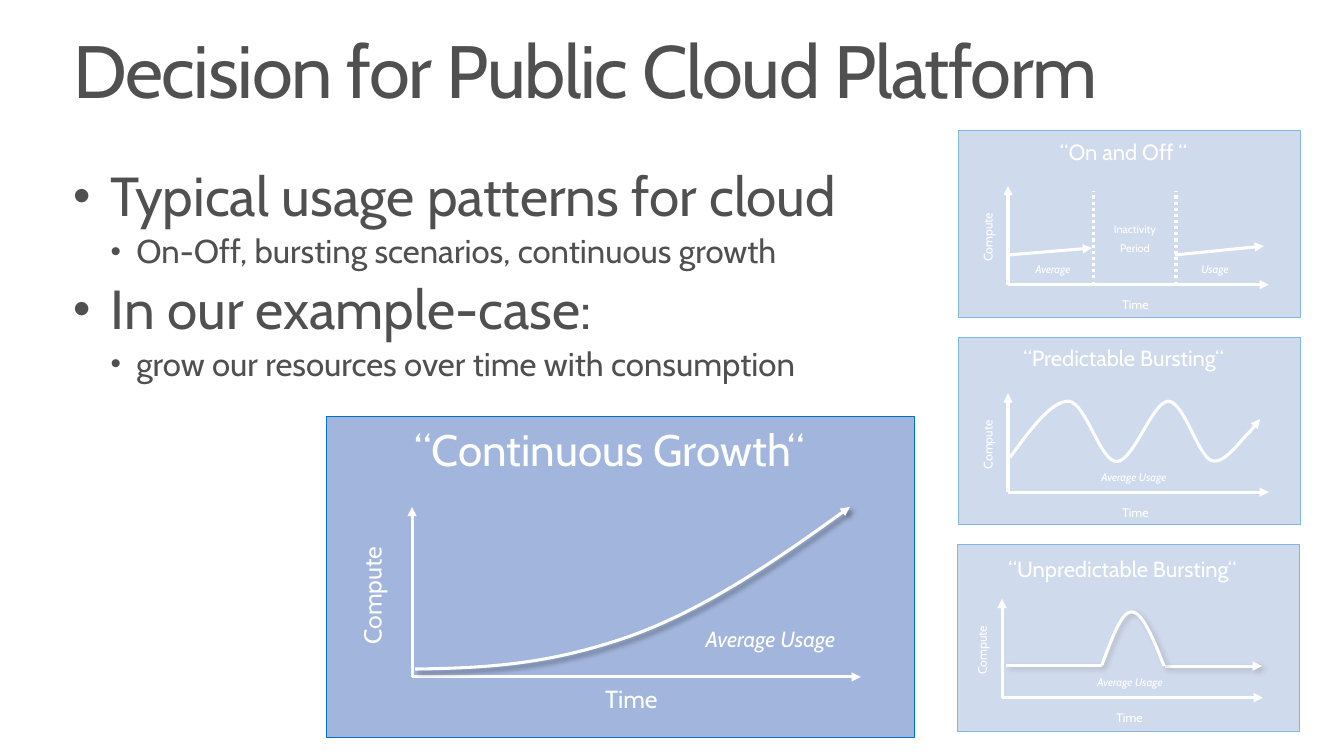
from dataclasses import dataclass

from lxml import etree
from pptx import Presentation
from pptx.dml.color import RGBColor
from pptx.enum.dml import MSO_LINE
from pptx.enum.shapes import MSO_CONNECTOR, MSO_SHAPE
from pptx.enum.text import PP_ALIGN
from pptx.oxml.ns import qn
from pptx.util import Inches, Pt

LEFT, CENTER = PP_ALIGN.LEFT, PP_ALIGN.CENTER
STRAIGHT, RECT, DOTS = MSO_CONNECTOR.STRAIGHT, MSO_SHAPE.RECTANGLE, MSO_LINE.ROUND_DOT


@dataclass(frozen=True)
class Theme:
    font: str = "Cabin"
    ink: RGBColor = RGBColor(0x50, 0x50, 0x50)
    white: RGBColor = RGBColor(0xFF, 0xFF, 0xFF)
    panel: RGBColor = RGBColor(0xA2, 0xB5, 0xDC)
    edge: RGBColor = RGBColor(0x00, 0x72, 0xC6)
    title: int = 54
    point: int = 40
    detail: int = 24
    head: int = 16
    axis: int = 9
    note: int = 8


theme = Theme()


def write(shapes, box, lines, size, color=theme.white, align=CENTER,
          inset=(0, 0), pitch=None, italic=False):
    """Add a text box with one paragraph per line; inset is (side, top)."""
    area = shapes.add_textbox(*map(Inches, box))
    frame = area.text_frame
    frame.word_wrap = True
    frame.margin_left = frame.margin_right = Inches(inset[0])
    frame.margin_top = frame.margin_bottom = Inches(inset[1])
    frame.text = "\n".join(lines)
    for para in frame.paragraphs:
        para.alignment = align
        para.line_spacing = pitch
        para.font.name = theme.font
        para.font.size = Pt(size)
        para.font.color.rgb = color
        para.font.italic = italic
    return area


def stroke(shape, arrow=False, dash=None, shade=False):
    """Style a white line, with an optional arrowhead, dash and shadow."""
    shape.line.color.rgb = theme.white
    shape.line.width = Pt(2.25)
    if dash:
        shape.line.dash_style = dash
    props = shape._element.spPr
    if arrow:
        etree.SubElement(props.find(qn("a:ln")), qn("a:tailEnd"), type="triangle")
    effects = etree.SubElement(props, qn("a:effectLst"))
    if shade:
        cast = etree.SubElement(effects, qn("a:outerShdw"), blurRad=str(Pt(4)),
                                dist=str(Pt(3)), dir="2700000", algn="tl")
        black = etree.SubElement(cast, qn("a:srgbClr"), val="000000")
        etree.SubElement(black, qn("a:alpha"), val="40000")


deck = Presentation()
deck.slide_width, deck.slide_height = Inches(13.6), Inches(7.65)
slide = deck.slides.add_slide(deck.slide_layouts[6])

title = write(slide.shapes, (0.58, 0.25, 12.44, 0.85),
              ["Decision for Public Cloud Platform"], theme.title, theme.ink,
              LEFT, (0.16, 0.1), 0.9)
title.text_frame.paragraphs[0].runs[0].font._element.set("spc", "-100")

points = [
    (0, "Typical usage patterns for cloud"),
    (1, "On-Off, bursting scenarios, continuous growth"),
    (0, "In our example-case:"),
    (1, "grow our resources over time with consumption"),
]
levels = [(theme.point, 0.38, 0.38), (theme.detail, 0.64, 0.26)]
body = write(slide.shapes, (0.58, 1.61, 12.44, 2.44), [words for _, words in points],
             theme.point, theme.ink, LEFT, (0.16, 0.1), 0.9)
for index, (para, (level, _)) in enumerate(zip(body.text_frame.paragraphs, points)):
    size, margin, hang = levels[level]
    para.level = level
    para.font.size = Pt(size)
    para.space_before = Pt(round(size * 0.2) if index else 0)
    props = para._p.get_or_add_pPr()
    props.set("marL", str(Inches(margin)))
    props.set("indent", str(-Inches(hang)))
    # Bullet marks belong before the default run properties
    mark = props.find(qn("a:defRPr"))
    for tag, key, value in [("a:buSzPct", "val", "90000"),
                            ("a:buFont", "typeface", "Arial"),
                            ("a:buChar", "char", "•")]:
        bullet = etree.Element(qn(tag), {key: value})
        if mark is None:
            props.append(bullet)
        else:
            mark.addprevious(bullet)

# Each line is (from x, from y, to x, to y, arrow, dash); a curve is a start
# followed by three Bézier points for each bend; a note is (x, y, words).
panels = [
    dict(name="“On and Off “", at=(9.7, 1.32), drop=0.06, corner=(10.2, 2.88), scale=1,
         notes=[(11.82, 2.66, "Usage"), (10.18, 2.66, "Average")],
         lines=[(10.2, 2.58, 11.05, 2.51, True, None),
                (11.89, 2.58, 12.79, 2.49, True, None),
                (11.9, 2.88, 11.9, 1.93, False, DOTS),
                (11.07, 2.88, 11.07, 1.93, False, DOTS)],
         curve=[], arrow=False, shade=False),
    dict(name="“Unpredictable Bursting“", at=(9.69, 5.51), drop=0.09,
         corner=(10.14, 7.06), scale=1, notes=[(10.96, 6.84, "Average Usage")],
         lines=[(11.79, 6.74, 12.77, 6.74, True, None),
                (10.18, 6.73, 11.15, 6.73, False, None)],
         curve=[(11.15, 6.73), (11.25, 6.46), (11.35, 6.19), (11.45, 6.19),
                (11.56, 6.19), (11.67, 6.46), (11.78, 6.74)],
         arrow=False, shade=True),
    dict(name="“Continuous Growth“", at=(3.3, 4.21), drop=0.08, corner=(4.17, 6.85),
         scale=1.72, notes=[(6.98, 6.33, "Average Usage")], lines=[],
         curve=[(4.2, 6.77), (5.05, 6.76), (5.6, 6.7), (6.34, 6.45),
                (7.11, 6.18), (7.87, 5.66), (8.6, 5.13)],
         arrow=True, shade=True),
    dict(name="“Predictable Bursting“", at=(9.7, 3.42), drop=0.05,
         corner=(10.2, 4.98), scale=1, notes=[(11, 4.76, "Average Usage")],
         lines=[(12.64, 4.38, 12.75, 4.24, True, None)],
         curve=[(10.22, 4.63), (10.43, 4.34), (10.64, 4.06), (10.81, 4.06),
                (10.99, 4.07), (11.13, 4.67), (11.3, 4.67),
                (11.47, 4.67), (11.66, 4.07), (11.82, 4.06),
                (11.98, 4.06), (12.12, 4.61), (12.26, 4.66),
                (12.4, 4.71), (12.58, 4.41), (12.66, 4.36)],
         arrow=False, shade=False),
]

for panel in panels:
    shapes = slide.shapes.add_group_shape().shapes
    (left, top), (x, y), scale = panel["at"], panel["corner"], panel["scale"]
    grow = 1 if scale == 1 else 2
    wide = 3.46 * scale
    card = shapes.add_shape(RECT, *map(Inches, (left, top, wide, 1.89 * scale)))
    card.shadow.inherit = False
    card.fill.solid()
    card.fill.fore_color.rgb = theme.panel
    card.line.color.rgb = theme.edge
    card.line.width = Pt(0.75)

    axes = [(x, y, x, y - scale, True, None), (x, y, x + 2.64 * scale, y, True, None)]
    for line in axes + panel["lines"]:
        *ends, arrow, dash = line
        shade = panel["shade"] and line in panel["lines"]
        stroke(shapes.add_connector(STRAIGHT, *map(Inches, ends)), arrow, dash, shade)

    span = 0.78 * scale
    label = write(shapes, (x - 0.18 * scale - span / 2, y - 0.48 * scale - 0.11, span, 0.22),
                  ["Compute"], theme.axis * grow, inset=(0, 0.05), pitch=Pt(8))
    label.rotation = 270
    write(shapes, (x + 0.9 * scale, y + 0.12 * scale, span, 0.22), ["Time"],
          theme.axis * grow, inset=(0, 0.05), pitch=Pt(8))
    write(shapes, (left - 0.06 * scale, top + panel["drop"], wide, 0.32 * scale),
          [panel["name"]], theme.head * grow, inset=(0, 0.05), pitch=0.9)
    for across, down, words in panel["notes"]:
        write(shapes, (across, down, 0.95 * scale, 0.15 * scale), [words],
              theme.note * grow, italic=True)
    if panel["name"].startswith("“On"):
        idle = write(shapes, (11.02, 2.22, 0.93, 0.42), ["Inactivity", "Period"],
                     theme.note, inset=(0.1, 0.05), pitch=Pt(8))
        for para in idle.text_frame.paragraphs:
            para.space_after = Pt(6)

    if panel["curve"]:
        start, *rest = [tuple(map(Inches, spot)) for spot in panel["curve"]]
        pen = shapes.build_freeform(*start)
        pen.add_line_segments(rest, close=False)
        curve = pen.convert_to_shape()
        curve.fill.background()
        # Join each three straight steps into one Bézier bend
        steps = curve._element.xpath(".//a:lnTo")
        for first in range(0, len(steps), 3):
            bend = etree.Element(qn("a:cubicBezTo"))
            steps[first].addprevious(bend)
            for step in steps[first:first + 3]:
                bend.append(step[0])
                step.getparent().remove(step)
        stroke(curve, panel["arrow"], shade=panel["shade"])

veil = slide.shapes.add_shape(RECT, *map(Inches, (9.5, 1.1, 3.9, 6.54)))
veil.shadow.inherit = False
veil.fill.solid()
veil.fill.fore_color.rgb = theme.white
veil.line.fill.background()
tint = veil._element.spPr.find(qn("a:solidFill"))[0]
etree.SubElement(tint, qn("a:alpha"), val="50000")

deck.save("out.pptx")
